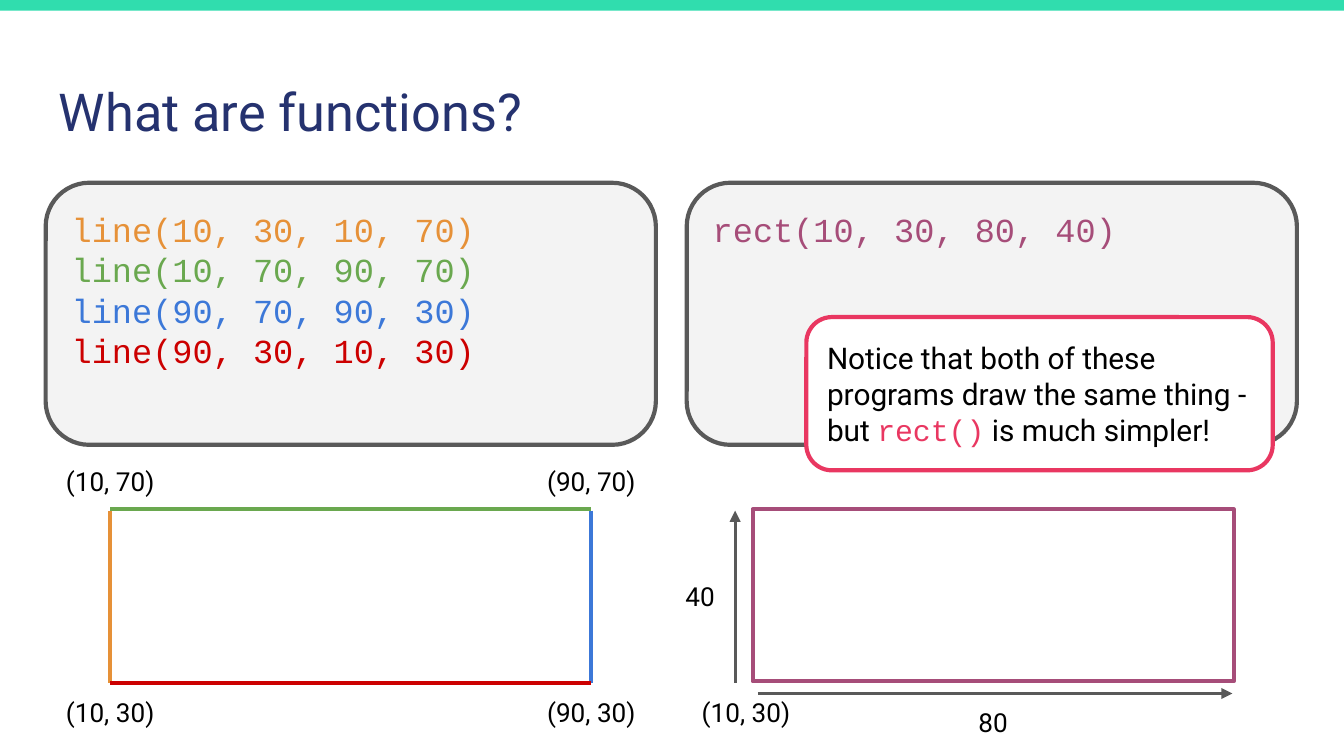
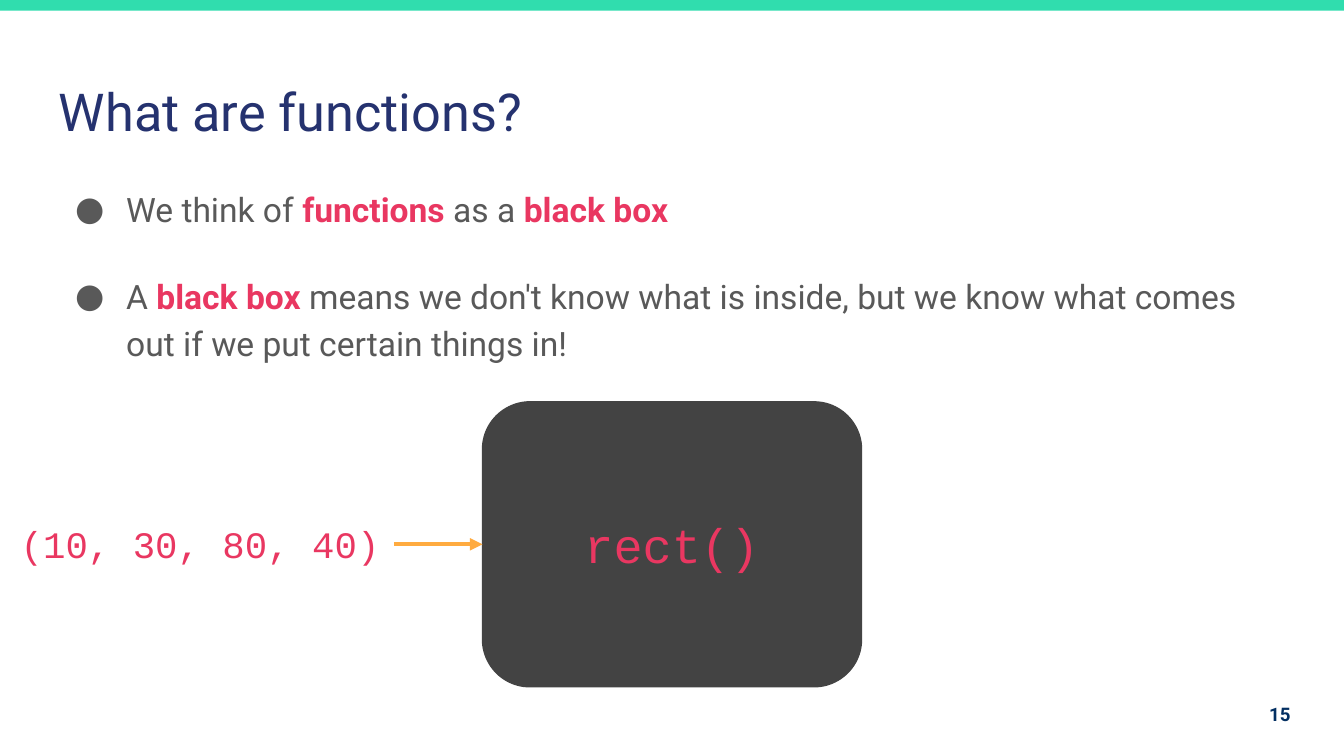
from lxml import etree
from pptx import Presentation
from pptx.dml.color import RGBColor
from pptx.enum import shapes, text
from pptx.oxml import ns
from pptx.util import Inches, Pt

COLORS = {
    "band": "30DDAE", "title": "25326F", "gray": "595959", "panel": "F3F3F3",
    "white": "FFFFFF", "black": "000000", "pink": "E93761", "box": "434343",
    "orange": "E69138", "green": "6AA84F", "blue": "3C78D8", "red": "CC0000",
    "purple": "A64D79", "amber": "FFAB40", "number": "032F62",
}
SANS, MONO = "Roboto", "Courier New"
TITLE = "What are functions?"

# A run is (text, colour, overrides); a paragraph is a list of runs.
LINE_CODE = [
    [("line(10, 30, 10, 70)", "orange")],
    [("line(10, 70, 90, 70)", "green")],
    [("line(90, 70, 90, 30)", "blue")],
    [("line(90, 30, 10, 30)", "red")],
]
RECT_CODE = [[("rect(10, 30, 80, 40)", "purple")]]
NOTICE = [[
    ("Notice that both of these programs draw the same thing - but ", "black"),
    ("rect()", "pink", {"name": MONO}),
    (" is much simpler!", "black"),
]]
BOLD = {"bold": True}
BULLETS = [
    [("We think of ", "gray"), ("functions", "pink", BOLD), (" as a ", "gray"),
     ("black box", "pink", BOLD)],
    [("A ", "gray"), ("black box", "pink", BOLD),
     (" means we don't know what is inside, but we know what comes out "
      "if we put certain things in!", "gray")],
]

SLIDE_WIDTH = 10
SLIDE_HEIGHT = SLIDE_WIDTH * 9 / 16
MARGIN, CONTENT_WIDTH = 0.34, 9.32
PANEL_LEFTS = (MARGIN, 5.11)
PANEL_TOP, PANEL_WIDTH, PANEL_HEIGHT = 1.36, 4.54, 1.95
LEFT, RIGHT, TOP, BOTTOM = 0.82, 4.4, 3.79, 5.08
SIDE_TOP = 3.8
RECT_LEFT, RECT_WIDTH, RECT_HEIGHT = 5.6, 3.58, 1.28
LABEL_WIDTH, LABEL_HEIGHT = 0.89, 0.44

SIDES = [
    ((LEFT, TOP), (RIGHT, TOP), "green"),
    ((RIGHT, SIDE_TOP), (RIGHT, BOTTOM), "blue"),
    ((LEFT, SIDE_TOP), (LEFT, BOTTOM), "orange"),
    ((LEFT, BOTTOM), (RIGHT, BOTTOM), "red"),
]
ABOVE = SIDE_TOP - LABEL_HEIGHT
LABELS = [  # text, centre x, top
    ("(10, 30)", LEFT, BOTTOM), ("(10, 70)", LEFT, ABOVE),
    ("(90, 70)", RIGHT, ABOVE), ("(90, 30)", RIGHT, BOTTOM),
    ("(10, 30)", 5.55, BOTTOM),
    ("40", 5.21, 4.22),
    ("80", RECT_LEFT + RECT_WIDTH / 2, 5.16),
]
ARROWS = [((5.47, BOTTOM), (5.47, SIDE_TOP)), ((5.64, 5.16), (9.17, 5.16))]


def rgb(name):
    return RGBColor.from_string(COLORS[name])


def write(shape, paragraphs, size, font=SANS, align="LEFT", anchor="TOP", **spacing):
    frame = shape.text_frame
    frame_format = {"word_wrap": True, "vertical_anchor": text.MSO_ANCHOR[anchor]}
    for side in ("left", "right", "top", "bottom"):
        frame_format["margin_" + side] = Inches(0.1)
    for key, value in frame_format.items():
        setattr(frame, key, value)
    for index, runs in enumerate(paragraphs):
        paragraph = frame.add_paragraph() if index else frame.paragraphs[0]
        for key, value in {"alignment": text.PP_ALIGN[align], **spacing}.items():
            setattr(paragraph, key, value)
        for content, color, *overrides in runs:
            run = paragraph.add_run()
            run.text = content
            run.font.color.rgb = rgb(color)
            font_format = {"name": font, "size": Pt(size)}
            for extra in overrides:
                font_format.update(extra)
            for key, value in font_format.items():
                setattr(run.font, key, value)
    return shape


def add_text(slide, box, paragraphs, size, **options):
    shape = slide.shapes.add_textbox(*map(Inches, box))
    return write(shape, paragraphs, size, **options)


def add_box(slide, box, fill=None, line=None, width=2.25, kind="ROUNDED_RECTANGLE"):
    shape = slide.shapes.add_shape(shapes.MSO_SHAPE[kind], *map(Inches, box))
    shape.shadow.inherit = False
    if fill:
        shape.fill.solid()
        shape.fill.fore_color.rgb = rgb(fill)
    else:
        shape.fill.background()
    if line:
        shape.line.color.rgb = rgb(line)
        shape.line.width = Pt(width)
    else:
        shape.line.fill.background()
    return shape


def add_line(slide, start, end, color, width=2.25, arrow=False):
    connector = slide.shapes.add_connector(
        shapes.MSO_CONNECTOR.STRAIGHT, *map(Inches, start + end))
    connector.line.color.rgb = rgb(color)
    connector.line.width = Pt(width)
    if arrow:
        outline = connector.line._get_or_add_ln()
        etree.SubElement(outline, ns.qn("a:tailEnd"), type="triangle")
    etree.SubElement(connector._element.spPr, ns.qn("a:effectLst"))
    return connector


def add_bullets(shape):
    """Give every paragraph a hanging round bullet."""
    for paragraph in shape.text_frame.paragraphs:
        properties = paragraph._p.get_or_add_pPr()
        properties.set("marL", str(Inches(0.5)))
        properties.set("indent", str(Inches(-0.38)))
        color = etree.SubElement(properties, ns.qn("a:buClr"))
        etree.SubElement(color, ns.qn("a:srgbClr"), val=COLORS["gray"])
        etree.SubElement(properties, ns.qn("a:buFont"), typeface=SANS)
        etree.SubElement(properties, ns.qn("a:buChar"), char="●")


def add_slide(presentation):
    """Add a blank slide with the shared band and title."""
    slide = presentation.slides.add_slide(presentation.slide_layouts[6])
    add_box(slide, (-0.01, 0, 10.02, 0.08), "band", kind="RECTANGLE")
    add_text(slide, (MARGIN, 0.49, CONTENT_WIDTH, 0.63), [[(TITLE, "title")]], 28)
    return slide


def build_comparison(presentation):
    slide = add_slide(presentation)
    for left, code in zip(PANEL_LEFTS, (LINE_CODE, RECT_CODE)):
        panel = add_box(slide, (left, PANEL_TOP, PANEL_WIDTH, PANEL_HEIGHT), "panel", "gray")
        write(panel, code, 18, font=MONO)
    for start, end, color in SIDES:
        add_line(slide, start, end, color)
    add_box(slide, (RECT_LEFT, TOP, RECT_WIDTH, RECT_HEIGHT), line="purple", kind="RECTANGLE")
    for content, center, top in LABELS:
        box = (center - LABEL_WIDTH / 2, top, LABEL_WIDTH, LABEL_HEIGHT)
        add_text(slide, box, [[(content, "black")]], 14, align="CENTER")
    for start, end in ARROWS:
        add_line(slide, start, end, "gray", 1.5, arrow=True)
    notice = add_box(slide, (6, 2.36, 3.47, 1.14), "white", "pink")
    write(notice, NOTICE, 16, anchor="MIDDLE")


def build_black_box(presentation):
    slide = add_slide(presentation)
    add_bullets(add_text(slide, (MARGIN, 1.26, CONTENT_WIDTH, 1.54), BULLETS, 18,
                         line_spacing=1.15, space_after=Pt(22)))
    add_text(slide, (9.1, 5.1, 0.6, 0.43), [[("15", "number", BOLD)]], 10,
             align="RIGHT", anchor="MIDDLE")
    black_box = add_box(slide, (3.59, 2.99, 2.82, 2.12), "box", "box", 0.75)
    write(black_box, [[("rect()", "pink")]], 26, font=MONO, align="CENTER", anchor="MIDDLE")
    arguments = add_text(slide, (0.05, 3.78, 2.88, 0.54), [[("(10, 30, 80, 40)", "pink")]],
                         20, font=MONO, align="CENTER")
    arrow = add_line(slide, (2.93, 4.05), (3.59, 4.05), "amber", arrow=True)
    arrow.begin_connect(arguments, 3)
    arrow.end_connect(black_box, 1)


def main():
    presentation = Presentation()
    presentation.slide_width = Inches(SLIDE_WIDTH)
    presentation.slide_height = Inches(SLIDE_HEIGHT)
    build_comparison(presentation)
    build_black_box(presentation)
    presentation.save("out.pptx")


if __name__ == "__main__":
    main()
